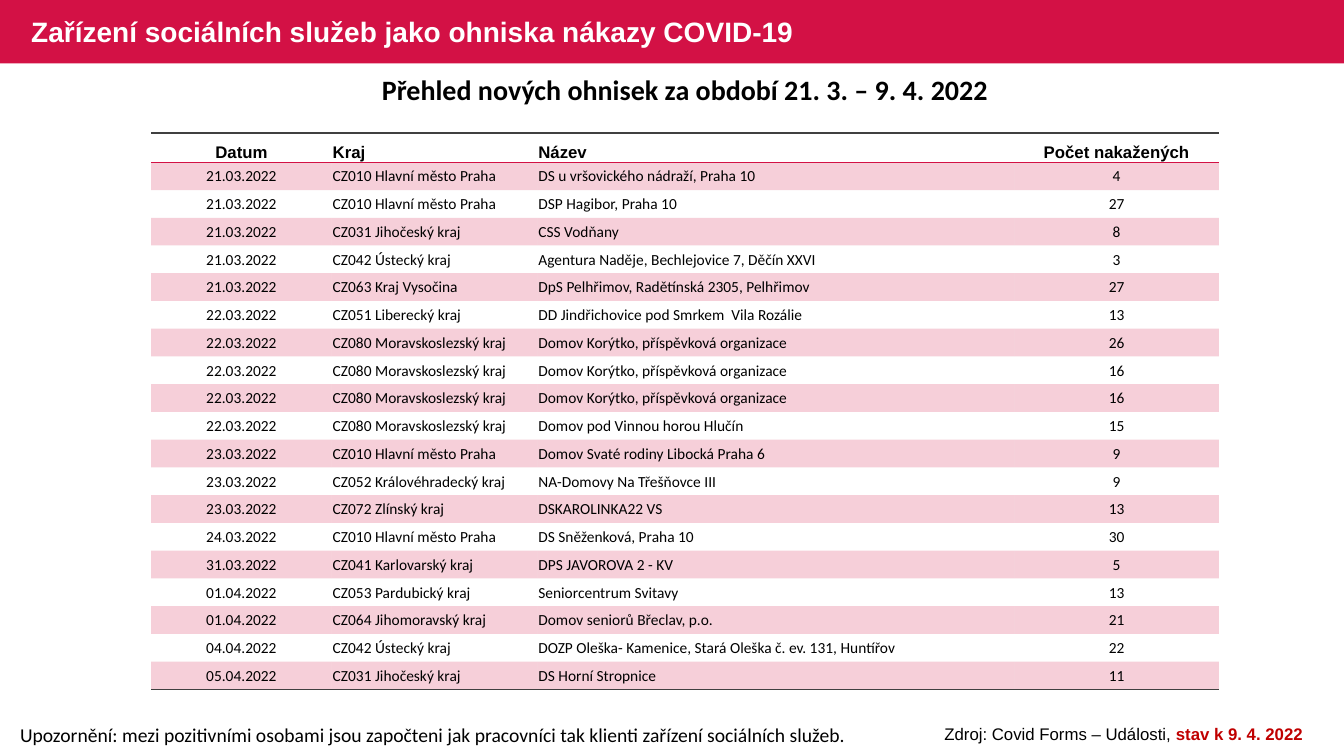
import lxml.etree
import pptx
import pptx.dml.color
import pptx.enum.shapes
import pptx.enum.text
import pptx.oxml.ns
import pptx.util

Inches = pptx.util.Inches
Pt = pptx.util.Pt
Align = pptx.enum.text.PP_ALIGN
Anchor = pptx.enum.text.MSO_ANCHOR
qn = pptx.oxml.ns.qn

CRIMSON = pptx.dml.color.RGBColor(0xD3, 0x11, 0x45)
DARK_RED = pptx.dml.color.RGBColor(0xC0, 0x00, 0x00)
GREY = pptx.dml.color.RGBColor(0x40, 0x40, 0x40)
BLACK = pptx.dml.color.RGBColor(0, 0, 0)
WHITE = pptx.dml.color.RGBColor(0xFF, 0xFF, 0xFF)
PLAIN_TABLE = "{2D5ABB26-0587-4C30-8999-92F81FD0307C}"

HEADINGS = ("Datum", "Kraj", "Název", "Počet nakažených")
COLUMN_WIDTHS = (1.79, 2.04, 4.73, 2.03)
COLUMN_ALIGNMENTS = (Align.CENTER, Align.LEFT, Align.LEFT, Align.CENTER)
OUTBREAKS = (
    ("21.03.2022", "CZ010 Hlavní město Praha", "DS u vršovického nádraží, Praha 10", 4),
    ("21.03.2022", "CZ010 Hlavní město Praha", "DSP Hagibor, Praha 10", 27),
    ("21.03.2022", "CZ031 Jihočeský kraj", "CSS Vodňany", 8),
    ("21.03.2022", "CZ042 Ústecký kraj", "Agentura Naděje, Bechlejovice 7, Děčín XXVI", 3),
    ("21.03.2022", "CZ063 Kraj Vysočina", "DpS Pelhřimov, Radětínská 2305, Pelhřimov", 27),
    ("22.03.2022", "CZ051 Liberecký kraj", "DD Jindřichovice pod Smrkem  Vila Rozálie", 13),
    ("22.03.2022", "CZ080 Moravskoslezský kraj", "Domov Korýtko, příspěvková organizace", 26),
    ("22.03.2022", "CZ080 Moravskoslezský kraj", "Domov Korýtko, příspěvková organizace", 16),
    ("22.03.2022", "CZ080 Moravskoslezský kraj", "Domov Korýtko, příspěvková organizace", 16),
    ("22.03.2022", "CZ080 Moravskoslezský kraj", "Domov pod Vinnou horou Hlučín", 15),
    ("23.03.2022", "CZ010 Hlavní město Praha", "Domov Svaté rodiny Libocká Praha 6", 9),
    ("23.03.2022", "CZ052 Královéhradecký kraj", "NA-Domovy Na Třešňovce III", 9),
    ("23.03.2022", "CZ072 Zlínský kraj", "DSKAROLINKA22 VS", 13),
    ("24.03.2022", "CZ010 Hlavní město Praha", "DS Sněženková, Praha 10", 30),
    ("31.03.2022", "CZ041 Karlovarský kraj", "DPS JAVOROVA 2 - KV", 5),
    ("01.04.2022", "CZ053 Pardubický kraj", "Seniorcentrum Svitavy", 13),
    ("01.04.2022", "CZ064 Jihomoravský kraj", "Domov seniorů Břeclav, p.o.", 21),
    ("04.04.2022", "CZ042 Ústecký kraj", "DOZP Oleška- Kamenice, Stará Oleška č. ev. 131, Huntířov", 22),
    ("05.04.2022", "CZ031 Jihočeský kraj", "DS Horní Stropnice", 11),
)


class OutbreakSlide:
    """Holds the current slide and its style, with one method per kind of element."""

    def __init__(self, slide):
        self.slide = slide
        self.shapes = slide.shapes

    def style(self, font, name, size, color=BLACK, bold=False):
        font.name, font.size, font.bold = name, Pt(size), bold
        font.color.rgb = color

    def place(self, shape, box):
        shape.left, shape.top, shape.width, shape.height = map(Inches, box)

    def header_band(self, box):
        band = self.shapes.add_shape(
            pptx.enum.shapes.MSO_SHAPE.RECTANGLE, *map(Inches, box))
        band.shadow.inherit = False
        band.fill.solid()
        band.fill.fore_color.rgb = CRIMSON
        band.line.fill.background()
        title_element = self.shapes.title._element
        title_element.addprevious(band._element)

    def title(self, text, box):
        title = self.shapes.title
        self.place(title, box)
        title.text_frame.text = text
        title.text_frame.vertical_anchor = Anchor.MIDDLE
        title.text_frame.auto_size = pptx.enum.text.MSO_AUTO_SIZE.NONE
        line = title.text_frame.paragraphs[0]
        line.alignment, line.line_spacing = Align.LEFT, 0.9
        self.style(line.font, "Arial", 20, WHITE, True)

    def text(self, text, box, name, size, alignment=Align.LEFT, bold=False):
        frame = self.shapes.add_textbox(*map(Inches, box)).text_frame
        frame.word_wrap = True
        line = frame.paragraphs[0]
        line.alignment = alignment
        line.add_run().text = text
        self.style(line.font, name, size, BLACK, bold)
        return line

    def highlight(self, line, text):
        run = line.add_run()
        run.text = text
        run.font.bold = True
        run.font.color.rgb = DARK_RED

    def border(self, cell, side, color):
        edge = lxml.etree.SubElement(cell._tc.get_or_add_tcPr(), qn(f"a:{side}"), w=str(Pt(1)))
        fill = lxml.etree.SubElement(edge, qn("a:solidFill"))
        lxml.etree.SubElement(fill, qn("a:srgbClr"), val=str(color))

    def tint(self, cell):
        cell.fill.solid()
        cell.fill.fore_color.rgb = CRIMSON
        color = cell._tc.tcPr.find(f"{qn('a:solidFill')}/{qn('a:srgbClr')}")
        lxml.etree.SubElement(color, qn("a:alpha"), val="20000")

    def cell(self, cell, text, alignment, heading):
        cell.margin_left = cell.margin_right = Inches(0.01)
        cell.margin_top = Inches(0 if heading else 0.01)
        cell.margin_bottom = 0
        cell.vertical_anchor = Anchor.BOTTOM if heading else Anchor.MIDDLE
        cell.text = str(text)
        line = cell.text_frame.paragraphs[0]
        line.alignment = alignment
        self.style(line.font, *(("Arial", 12) if heading else ("Calibri", 11)), bold=heading)

    def table(self, headings, records, box, heading_height):
        rows = (headings, *records)
        table = self.shapes.add_table(len(rows), len(headings), *map(Inches, box)).table
        table._tbl.tblPr.find(qn("a:tableStyleId")).text = PLAIN_TABLE
        table.horz_banding = False
        for column, width in zip(table.columns, COLUMN_WIDTHS):
            column.width = Inches(width)
        record_height = (box[3] - heading_height) / len(records)
        for r, values in enumerate(rows):
            table.rows[r].height = Inches(record_height if r else heading_height)
            for c, value in enumerate(values):
                cell = table.cell(r, c)
                self.cell(cell, value, COLUMN_ALIGNMENTS[c], r == 0)
                if r == 0:
                    self.border(cell, "lnT", GREY)
                    self.border(cell, "lnB", CRIMSON)
                elif r == len(records):
                    self.border(cell, "lnB", GREY)
                if r % 2:
                    self.tint(cell)
                else:
                    cell.fill.background()


def main():
    deck = pptx.Presentation()
    deck.slide_width, deck.slide_height = Inches(13.33), Inches(7.5)
    page = OutbreakSlide(deck.slides.add_slide(deck.slide_layouts[5]))
    page.header_band((0, 0, 13.33, 0.63))
    page.title("Zařízení sociálních služeb jako ohniska nákazy COVID-19", (0.21, 0.02, 8.13, 0.63))
    page.text("Upozornění: mezi pozitivními osobami jsou započteni jak pracovníci "
              "tak klienti zařízení sociálních služeb.", (0.1, 7.12, 8.52, 0.34), "Calibri", 14)
    page.text("Přehled nových ohnisek za období 21. 3. – 9. 4. 2022",
              (0.53, 0.67, 12.53, 0.44), "Calibri", 20, Align.CENTER, True)
    source = page.text("Zdroj: Covid Forms – Události, ", (9.06, 7.13, 4.17, 0.3),
                       "Arial", 12, Align.CENTER)
    page.highlight(source, "stav k 9. 4. 2022")
    page.table(HEADINGS, OUTBREAKS, (1.5, 1.32, 10.59, 5.52), 0.29)
    deck.save("out.pptx")


if __name__ == "__main__":
    main()
